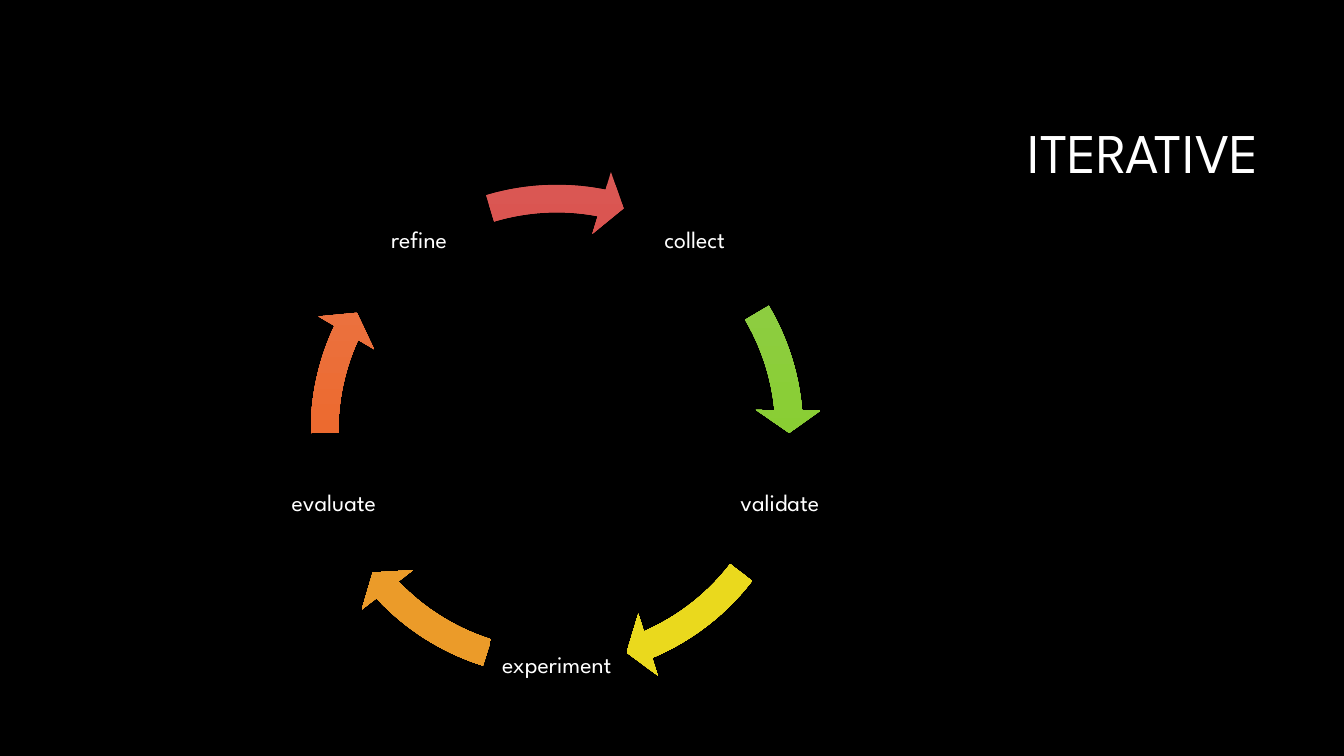
from math import cos, radians, sin

from pptx import Presentation
from pptx.dml.color import RGBColor
from pptx.enum.shapes import MSO_SHAPE as Shape
from pptx.enum.text import MSO_ANCHOR as Anchor, PP_ALIGN as Align
from pptx.util import Pt

BLACK = RGBColor(0x00, 0x00, 0x00)
WHITE = RGBColor(0xFF, 0xFF, 0xFF)
LIGHT_GREEN, GREEN = RGBColor(0x91, 0xCC, 0x51), RGBColor(0x85, 0xCF, 0x22)
LIGHT_YELLOW, YELLOW = RGBColor(0xE4, 0xD6, 0x51), RGBColor(0xEA, 0xD9, 0x1D)
LIGHT_AMBER, AMBER = RGBColor(0xE5, 0xA4, 0x57), RGBColor(0xEB, 0x9B, 0x29)
LIGHT_ORANGE, ORANGE = RGBColor(0xE8, 0x79, 0x51), RGBColor(0xEF, 0x62, 0x1C)
LIGHT_RED, RED = RGBColor(0xDA, 0x59, 0x55), RGBColor(0xDE, 0x2F, 0x29)

CENTER_X, CENTER_Y = 397.8, 307.8
RING_SIZE = 378
LABEL_RADIUS = 167.5
LABEL_SIZE = 100.8
FIRST_ANGLE = -54

# Label, start and end angle of the arrow that follows it, gradient colours
STEPS = [
    ("collect", 329.43, 354.89, LIGHT_GREEN, GREEN),
    ("validate", 37.55, 66.92, LIGHT_YELLOW, YELLOW),
    ("experiment", 107.49, 136.85, LIGHT_AMBER, AMBER),
    ("evaluate", 179.51, 204.97, LIGHT_ORANGE, ORANGE),
    ("refine", 253.3, 281.1, LIGHT_RED, RED),
]


class CyclePage:
    font_name = "League Spartan"
    line_spacing = 0.9

    def __init__(self, deck):
        self.page = deck.slides.add_slide(deck.slide_layouts[6])
        background = self.page.background.fill
        background.solid()
        background.fore_color.rgb = BLACK

    def text(self, words, left, top, width, height, size, align, inset=None):
        box = self.page.shapes.add_textbox(Pt(left), Pt(top), Pt(width), Pt(height))
        frame = box.text_frame
        frame.word_wrap = True
        frame.vertical_anchor = Anchor.MIDDLE
        if inset is not None:
            frame.margin_left = frame.margin_right = Pt(inset)
            frame.margin_top = frame.margin_bottom = Pt(inset)
        para = frame.paragraphs[0]
        para.alignment = align
        para.line_spacing = self.line_spacing
        span = para.add_run()
        span.text = words
        span.font.name = self.font_name
        span.font.size = Pt(size)
        span.font.color.rgb = WHITE

    def label(self, words, angle):
        """Centre a label on the ring, at degrees clockwise from the right."""
        left = CENTER_X + LABEL_RADIUS * cos(radians(angle)) - LABEL_SIZE / 2
        top = CENTER_Y + LABEL_RADIUS * sin(radians(angle)) - LABEL_SIZE / 2
        self.text(words, left, top, LABEL_SIZE, LABEL_SIZE, 17, Align.CENTER, 1.5)

    def arrow(self, start, end, light, strong):
        """Draw an arc arrow between two angles in degrees."""
        arrow = self.page.shapes.add_shape(
            Shape.CIRCULAR_ARROW,
            Pt(CENTER_X - RING_SIZE / 2), Pt(CENTER_Y - RING_SIZE / 2),
            Pt(RING_SIZE), Pt(RING_SIZE))
        arrow.shadow.inherit = False
        arrow.line.fill.background()
        # One degree is 0.6 in adjustment units
        values = (0.052, 5.6 * 0.6, end * 0.6, start * 0.6, 0.061)
        for index, value in enumerate(values):
            arrow.adjustments[index] = value
        arrow.fill.gradient()
        arrow.fill.gradient_angle = 270
        stops = arrow.fill.gradient_stops
        for stop, position, color in zip(stops, (0, 0.78), (light, strong)):
            stop.position = position
            stop.color.rgb = color


def main():
    deck = Presentation()
    deck.slide_width, deck.slide_height = Pt(960), Pt(540)
    cycle = CyclePage(deck)
    cycle.text("ITERATIVE", 228.2, 60.5, 678.2, 101.5, 40, Align.RIGHT)
    for index, (words, start, end, light, strong) in enumerate(STEPS):
        cycle.label(words, FIRST_ANGLE + index * 360 / len(STEPS))
        cycle.arrow(start, end, light, strong)
    deck.save("out.pptx")


if __name__ == "__main__":
    main()
